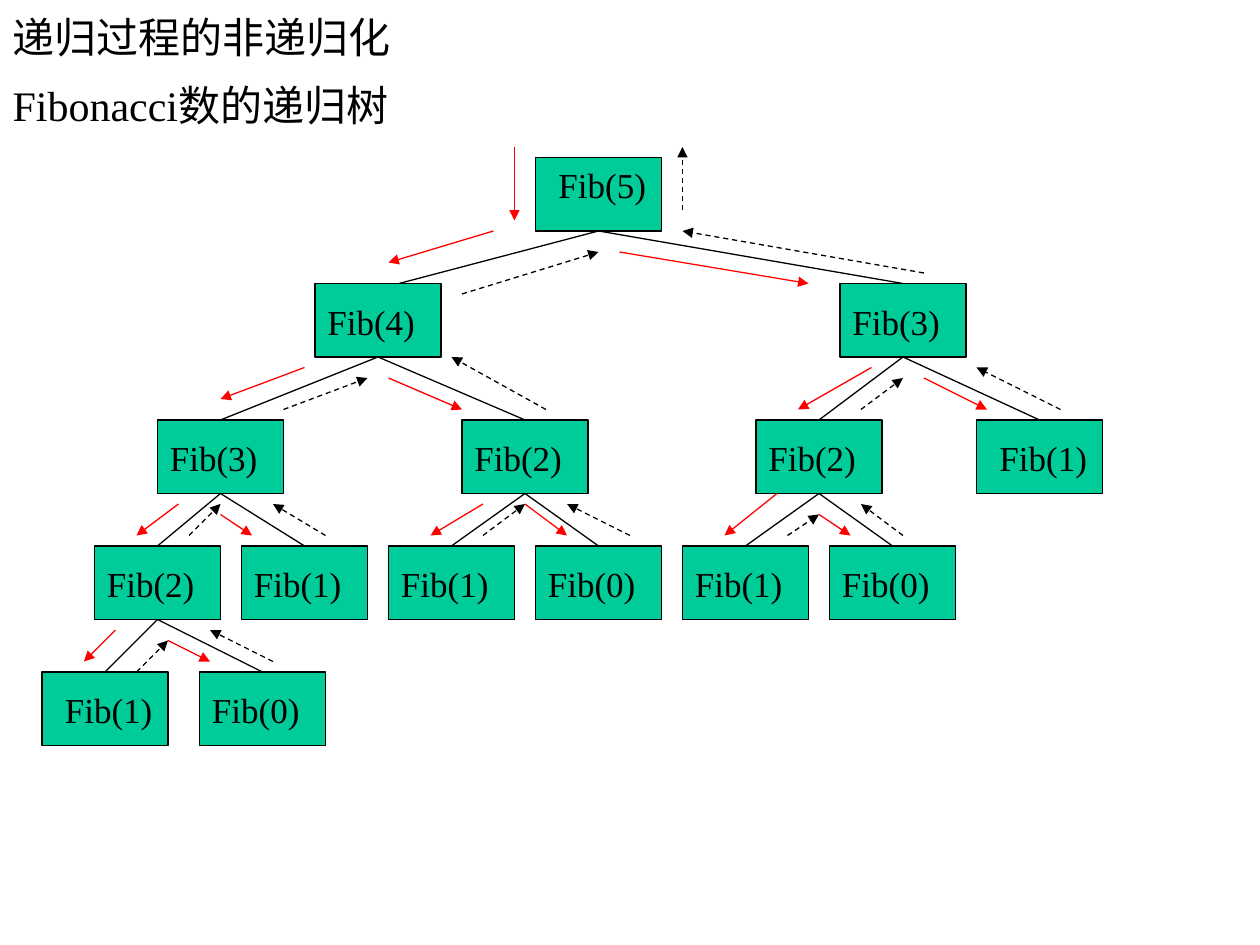
from lxml import etree
from pptx import Presentation
from pptx import util as u
from pptx.dml.color import RGBColor
from pptx.enum import dml, shapes, text
from pptx.oxml import ns

COLORS = {"ink": "000000", "node": "00CC99", "call": "FF0000", "return": "000000"}
FONT = "Times New Roman"
GRID_COLUMNS = 120
NODE_WIDTH, NODE_HEIGHT = 12, 7

# name: (label, column, row, label shift right, label shift down)
NODES = {
    "root": ("Fib(5)", 51, 15, 1, 0),
    "L": ("Fib(4)", 30, 27, 0, 1),
    "R": ("Fib(3)", 80, 27, 0, 1),
    "LL": ("Fib(3)", 15, 40, 0, 1),
    "LR": ("Fib(2)", 44, 40, 0, 1),
    "RL": ("Fib(2)", 72, 40, 0, 1),
    "RR": ("Fib(1)", 93, 40, 1, 1),
    "LLL": ("Fib(2)", 9, 52, 0, 1),
    "LLR": ("Fib(1)", 23, 52, 0, 1),
    "LRL": ("Fib(1)", 37, 52, 0, 1),
    "LRR": ("Fib(0)", 51, 52, 0, 1),
    "RLL": ("Fib(1)", 65, 52, 0, 1),
    "RLR": ("Fib(0)", 79, 52, 0, 1),
    "LLLL": ("Fib(1)", 4, 64, 1, 1),
    "LLLR": ("Fib(0)", 19, 64, 0, 1),
}
OFF_CENTRE_ENDS = {"L": (38, 27)}

ARROWS = {
    "call": [
        (49, 14, 49, 21), (47, 22, 37, 25), (29, 35, 21, 38), (17, 48, 13, 51),
        (11, 60, 8, 63), (16, 61, 20, 63), (21, 49, 24, 51), (37, 36, 44, 39),
        (46, 48, 41, 51), (50, 48, 54, 51), (59, 24, 77, 27), (83, 35, 76, 39),
        (74, 47, 69, 51), (78, 49, 81, 51), (88, 36, 94, 39),
    ],
    "return": [
        (13, 64, 16, 61), (26, 63, 20, 60), (18, 51, 21, 48), (31, 51, 26, 48),
        (27, 39, 35, 36), (46, 51, 50, 48), (60, 51, 54, 48), (52, 39, 43, 34),
        (44, 28, 57, 24), (75, 51, 78, 49), (86, 51, 82, 48), (82, 39, 86, 36),
        (101, 39, 93, 35), (88, 26, 65, 22), (65, 20, 65, 14),
    ],
}


def color(name):
    return RGBColor.from_string(COLORS[name])


def write_text(shape, content, size, anchor=text.MSO_ANCHOR.TOP, auto_size=text.MSO_AUTO_SIZE.NONE):
    frame = shape.text_frame
    frame.word_wrap = True
    frame.auto_size = auto_size
    frame.vertical_anchor = anchor
    paragraph = frame.paragraphs[0]
    paragraph.alignment = text.PP_ALIGN.LEFT
    paragraph.space_before = u.Pt(0)
    run = paragraph.add_run()
    run.text = content
    run.font.size = u.Pt(size)
    run.font.name = FONT
    run.font.color.rgb = color("ink")
    return paragraph


def place(shape, left, top, width, height):
    shape.left, shape.top, shape.width, shape.height = left, top, width, height


def add_heading(slide, left, top, width):
    title, body = slide.shapes.title, slide.placeholders[1]
    title_height = u.Cm(1.48)
    place(title, left, top, width - u.Cm(3.81), title_height)
    place(body, left, top + title_height, width - u.Cm(0.85), u.Cm(16.72))
    write_text(title, "递归过程的非递归化", 24, anchor=text.MSO_ANCHOR.MIDDLE)
    paragraph = write_text(body, "Fibonacci数的递归树", 24)
    properties = paragraph._p.get_or_add_pPr()
    properties.set("marL", str(u.Cm(0.95)))
    properties.set("indent", str(-u.Cm(0.95)))
    etree.SubElement(properties, ns.qn("a:buNone"))


def add_line(slide, start, end, color_name="ink", dashed=False, arrow=False):
    line = slide.shapes.add_connector(shapes.MSO_CONNECTOR.STRAIGHT, *start, *end)
    line.line.color.rgb = color(color_name)
    line.line.width = u.Pt(0.75)
    if dashed:
        line.line.dash_style = dml.MSO_LINE.DASH
    if arrow:
        etree.SubElement(line.line._get_or_add_ln(), ns.qn("a:tailEnd"), type="triangle")
    etree.SubElement(line._element.spPr, ns.qn("a:effectLst"))
    return line


def add_tree(slide, left, top, width):
    def length(cells):
        return round(width * cells / GRID_COLUMNS)

    def point(column, row):
        return left + length(column), top + length(row)

    boxes = {}
    for name, (label, column, row, shift_right, shift_down) in NODES.items():
        box = slide.shapes.add_shape(
            shapes.MSO_SHAPE.RECTANGLE, *point(column, row), length(NODE_WIDTH), length(NODE_HEIGHT)
        )
        box.shadow.inherit = False
        box.fill.solid()
        box.fill.fore_color.rgb = color("node")
        box.line.color.rgb = color("ink")
        box.line.width = u.Pt(0.75)
        boxes[name] = box
        caption = slide.shapes.add_textbox(
            *point(column + shift_right, row + shift_down), length(NODE_WIDTH - 1), u.Cm(1.12)
        )
        write_text(caption, label, 20, auto_size=text.MSO_AUTO_SIZE.SHAPE_TO_FIT_TEXT)

    for name, box in boxes.items():
        if name == "root":
            continue
        end = point(*OFF_CENTRE_ENDS.get(name, NODES[name][1:3]))
        branch = add_line(slide, point(0, 0), end)
        branch.begin_connect(boxes[name[:-1] or "root"], 2)
        if name not in OFF_CENTRE_ENDS:
            branch.end_connect(box, 0)

    for kind, arrows in ARROWS.items():
        for x1, y1, x2, y2 in arrows:
            add_line(slide, point(x1, y1), point(x2, y2), kind, dashed=kind == "return", arrow=True)


def main():
    presentation = Presentation()
    presentation.slide_width = u.Cm(25.4)
    presentation.slide_height = u.Cm(19.05)
    slide = presentation.slides.add_slide(presentation.slide_layouts[1])
    add_heading(slide, u.Cm(0), u.Cm(0), presentation.slide_width)
    add_tree(slide, u.Cm(0), u.Cm(0), presentation.slide_width)
    presentation.save("out.pptx")


if __name__ == "__main__":
    main()
